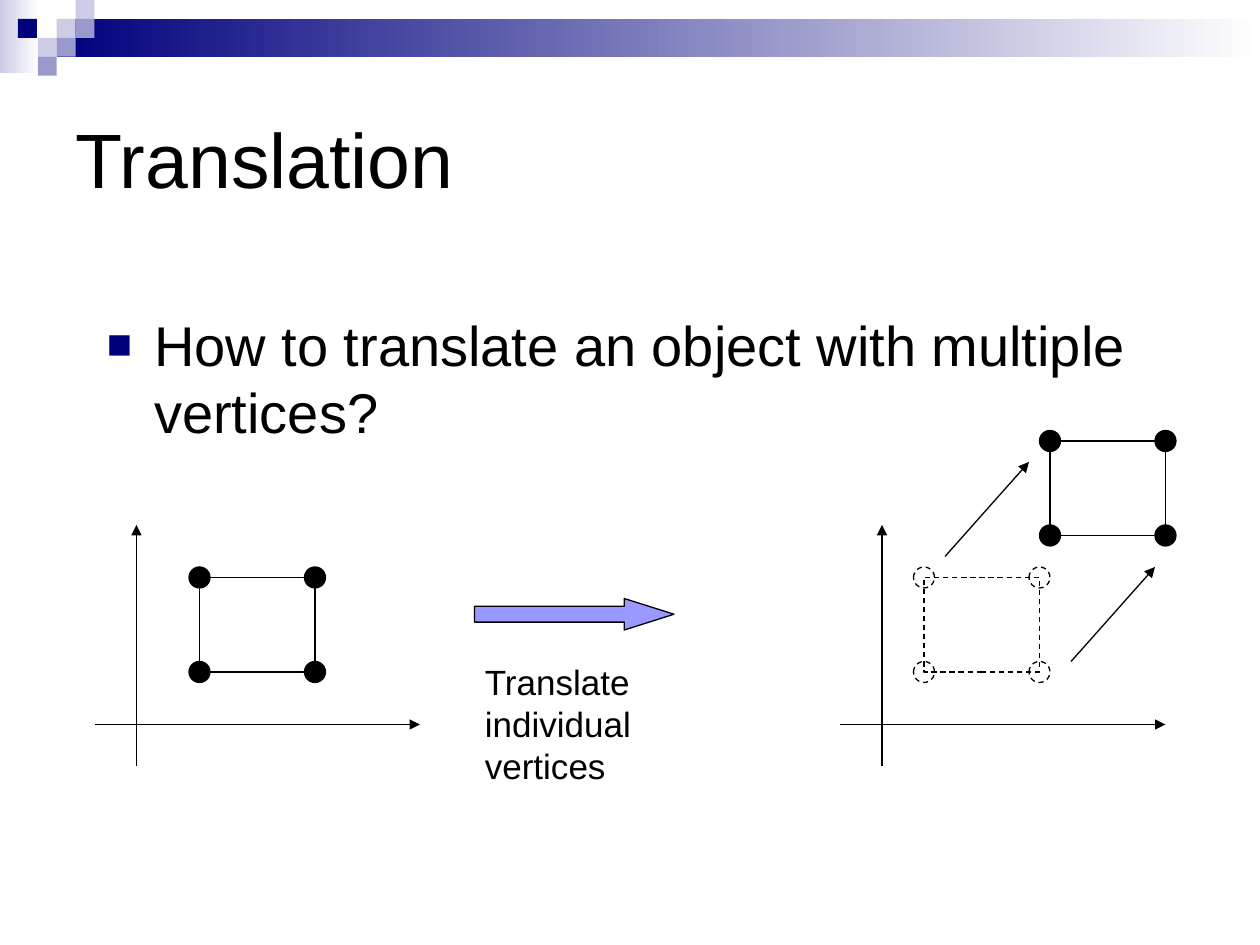
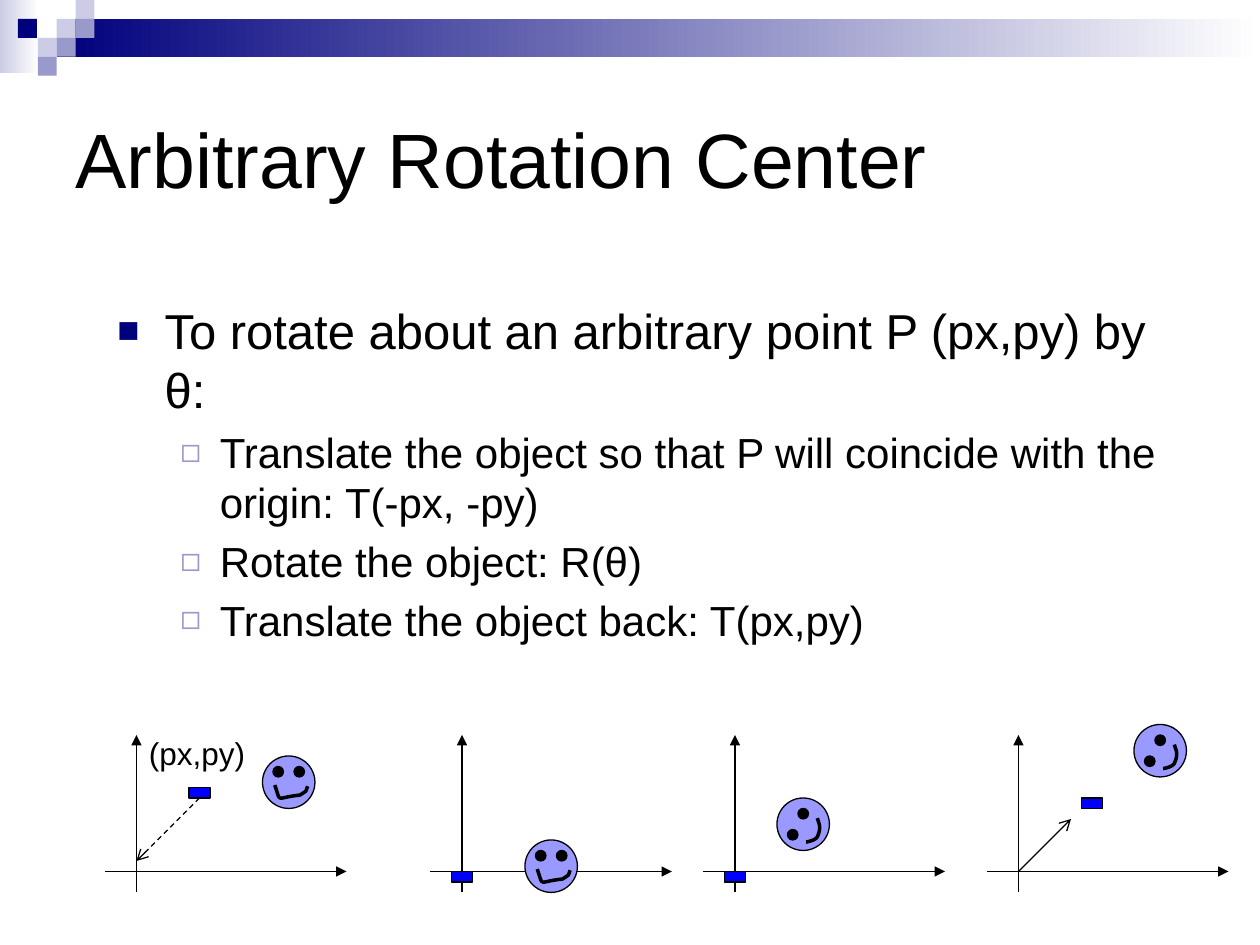
from lxml import etree
from pptx import Presentation
from pptx.dml.color import RGBColor
from pptx.enum.dml import MSO_LINE_DASH_STYLE as Dash
from pptx.enum.shapes import MSO_CONNECTOR as Connector, MSO_SHAPE as Shape
from pptx.enum.text import MSO_ANCHOR as Anchor, PP_ALIGN as Align
from pptx.oxml.ns import qn
from pptx.util import Pt

FONT = "Arial"
BLACK, WHITE = "000000", "FFFFFF"
NAVY, LILAC, PALE = "00007D", "9999CC", "CCCCE6"
SKY, BLUE = "9999FF", "0000FF"
BAND_UNIT = 10.8
BAND_SQUARES = [
    (3, 1, PALE), (4, 0, PALE), (4, 1, LILAC), (2, 2, PALE),
    (0.95, 1, NAVY), (3, 2, LILAC), (2, 3, LILAC),
]
BULLETS = [("■", NAVY, 75, 27, 27), ("◻", LILAC, 80, 58.5, 22.5)]
UPRIGHT = {
    "eyes": [(6, 6), (18, 6)],
    "mouth": [(7, 16.6), (10.8, 27.4), (7, 23.8), (21.5, 22.3),
              (25.8, 19.4), (24.4, 20.9), (25.8, 17.3)],
}
TURNED = {
    "eyes": [(12, 6), (6, 18)],
    "mouth": [(23, 11.5), (24.5, 15.8), (25.2, 17.3), (23, 22.3),
              (21.6, 24.5), (16.6, 25.2), (16.6, 25.2)],
}


def color(value):
    return RGBColor.from_string(value)


def curve_points(controls, steps=10):
    points = []
    for first in range(0, len(controls) - 1, 3):
        segment = controls[first:first + 4]
        for step in range(1, steps + 1):
            t = step / steps
            weights = ((1 - t) ** 3, 3 * t * (1 - t) ** 2, 3 * t * t * (1 - t), t ** 3)
            points.append(tuple(
                sum(weight * point[axis] for weight, point in zip(weights, segment))
                for axis in (0, 1)))
    return points


class Deck:
    def __init__(self):
        self.presentation = Presentation()
        self.presentation.slide_width = Pt(720)
        self.presentation.slide_height = Pt(540)
        self.slide = None

    def new_slide(self, title):
        self.slide = self.presentation.slides.add_slide(self.presentation.slide_layouts[5])
        self.band()
        shape = self.slide.shapes.title
        shape.left, shape.top, shape.width, shape.height = Pt(36), Pt(36), Pt(648), Pt(108)
        shape.text_frame.text = title
        shape.text_frame.vertical_anchor = Anchor.MIDDLE
        self.style(shape.text_frame.paragraphs[0], 44)

    def band(self):
        self.shape(Shape.RECTANGLE, 0, 0, 22.3, 41.8, PALE, None, gradient=True)
        self.shape(Shape.RECTANGLE, 3 * BAND_UNIT, BAND_UNIT, 687.6, 2 * BAND_UNIT,
                   NAVY, None, gradient=True)
        for column, row, fill in BAND_SQUARES:
            self.shape(Shape.RECTANGLE, column * BAND_UNIT, row * BAND_UNIT,
                       BAND_UNIT, BAND_UNIT, fill, None)

    def style(self, paragraph, size):
        paragraph.alignment = Align.LEFT
        for run in paragraph.runs:
            run.font.name = FONT
            run.font.size = Pt(size)
            run.font.color.rgb = color(BLACK)

    def outline(self, line, width=0.75, dashed=False):
        line.color.rgb = color(BLACK)
        line.width = Pt(width)
        if dashed:
            line.dash_style = Dash.DASH

    def shape(self, kind, left, top, width, height, fill=None, line=BLACK,
              dashed=False, gradient=False):
        shape = self.slide.shapes.add_shape(kind, Pt(left), Pt(top), Pt(width), Pt(height))
        shape.shadow.inherit = False
        if gradient:
            shape.fill.gradient()
            shape.fill.gradient_angle = 0
            for stop, value in zip(shape.fill.gradient_stops, (fill, WHITE)):
                stop.color.rgb = color(value)
        elif fill:
            shape.fill.solid()
            shape.fill.fore_color.rgb = color(fill)
        else:
            shape.fill.background()
        if line:
            self.outline(shape.line, dashed=dashed)
        else:
            shape.line.fill.background()
        return shape

    def arrow(self, start, end, head="triangle", dashed=False):
        connector = self.slide.shapes.add_connector(
            Connector.STRAIGHT, *(Pt(value) for value in (*start, *end)))
        self.outline(connector.line, dashed=dashed)
        etree.SubElement(connector.line._get_or_add_ln(), qn("a:tailEnd"), type=head)
        etree.SubElement(connector._element.spPr, qn("a:effectLst"))
        return connector

    def axes(self, x, y, before, right, below, above):
        self.arrow((x - before, y), (x + right, y))
        self.arrow((x, y + below), (x, y - above))

    def text(self, left, top, width, height, lines, size, wrap=True):
        box = self.slide.shapes.add_textbox(Pt(left), Pt(top), Pt(width), Pt(height))
        frame = box.text_frame
        frame.word_wrap = wrap
        frame.text = "\n".join(lines)
        for paragraph in frame.paragraphs:
            self.style(paragraph, size)
        return frame

    def bullets(self, left, top, items):
        frame = self.text(left, top, 612, 324, [text for text, _, _ in items], 24)
        for index, (paragraph, (_, level, size)) in enumerate(zip(frame.paragraphs, items)):
            character, fill, percent, margin, hanging = BULLETS[level]
            properties = paragraph._p.get_or_add_pPr()
            properties.set("marL", str(Pt(margin)))
            properties.set("indent", str(-Pt(hanging)))
            bullet_color = etree.SubElement(properties, qn("a:buClr"))
            etree.SubElement(bullet_color, qn("a:srgbClr"), val=fill)
            etree.SubElement(properties, qn("a:buSzPct"), val=str(percent * 1000))
            etree.SubElement(properties, qn("a:buFont"), typeface=FONT)
            etree.SubElement(properties, qn("a:buChar"), char=character)
            paragraph.level = level
            paragraph.space_before = Pt(0.2 * size if index else 0)
            self.style(paragraph, size)

    def square(self, left, top, dashed=False):
        width, height, dot = 66, 54, 12
        self.shape(Shape.RECTANGLE, left, top, width, height, dashed=dashed)
        for x in (left, left + width):
            for y in (top, top + height):
                self.shape(Shape.OVAL, x - dot / 2, y - dot / 2, dot, dot,
                           None if dashed else BLACK, dashed=dashed)

    def pivot(self, left, top):
        return self.shape(Shape.RECTANGLE, left, top, 12, 6, BLUE)

    def face(self, left, top, pose):
        self.shape(Shape.OVAL, left, top, 30, 30, SKY)
        for x, y in pose["eyes"]:
            self.shape(Shape.OVAL, left + x, top + y, 6, 6, BLACK)
        controls = [(left + x, top + y) for x, y in pose["mouth"]]
        builder = self.slide.shapes.build_freeform(*(Pt(value) for value in controls[0]))
        builder.add_line_segments(
            [(Pt(x), Pt(y)) for x, y in curve_points(controls)], close=False)
        mouth = builder.convert_to_shape()
        mouth.shadow.inherit = False
        mouth.fill.background()
        self.outline(mouth.line, 2)


def translation_slide(deck):
    deck.new_slide("Translation")
    deck.bullets(54, 174, [("How to translate an object with multiple vertices?", 0, 32)])
    for origin_x in (78, 504):
        deck.axes(origin_x, 414, 24, 162, 24, 114)
    deck.square(114, 330)
    deck.square(600, 252)
    deck.square(528, 330, dashed=True)
    block_arrow = deck.shape(Shape.RIGHT_ARROW, 271.2, 342, 114, 18, SKY)
    block_arrow.adjustments[0], block_arrow.adjustments[1] = 0.5, 1.58
    deck.text(270, 374, 114, 76, ["Translate individual", "vertices"], 20)
    for x, y in ((540, 318), (612, 378)):
        deck.arrow((x, y), (x + 48, y - 54))


def rotation_slide(deck):
    deck.new_slide("Arbitrary Rotation Center")
    deck.bullets(60, 168, [
        ("To rotate about an arbitrary point P (px,py) by θ:", 0, 28),
        ("Translate the object so that P will coincide with the origin: T(-px, -py)", 1, 24),
        ("Rotate the object: R(θ)", 1, 24),
        ("Translate the object back: T(px,py)", 1, 24),
    ])
    steps = [
        (78, (108, 450), (150, 432), UPRIGHT),
        (264, (258, 498), (300, 480), UPRIGHT),
        (420, (414, 498), (444, 456), TURNED),
        (582, (618, 456), (648, 414), TURNED),
    ]
    pivots = []
    for origin_x, pivot, face, pose in steps:
        deck.axes(origin_x, 498, 18, 120, 12, 78)
        pivots.append(deck.pivot(*pivot))
        deck.face(*face, pose)
    deck.text(78, 416, 71, 29, ["(px,py)"], 18, wrap=False)
    to_origin = deck.arrow((114, 456), (78, 492), "arrow", dashed=True)
    to_origin.begin_connect(pivots[0], 2)
    deck.arrow((582, 498), (612, 468), "arrow")


def main():
    deck = Deck()
    translation_slide(deck)
    rotation_slide(deck)
    deck.presentation.save("out.pptx")


if __name__ == "__main__":
    main()
